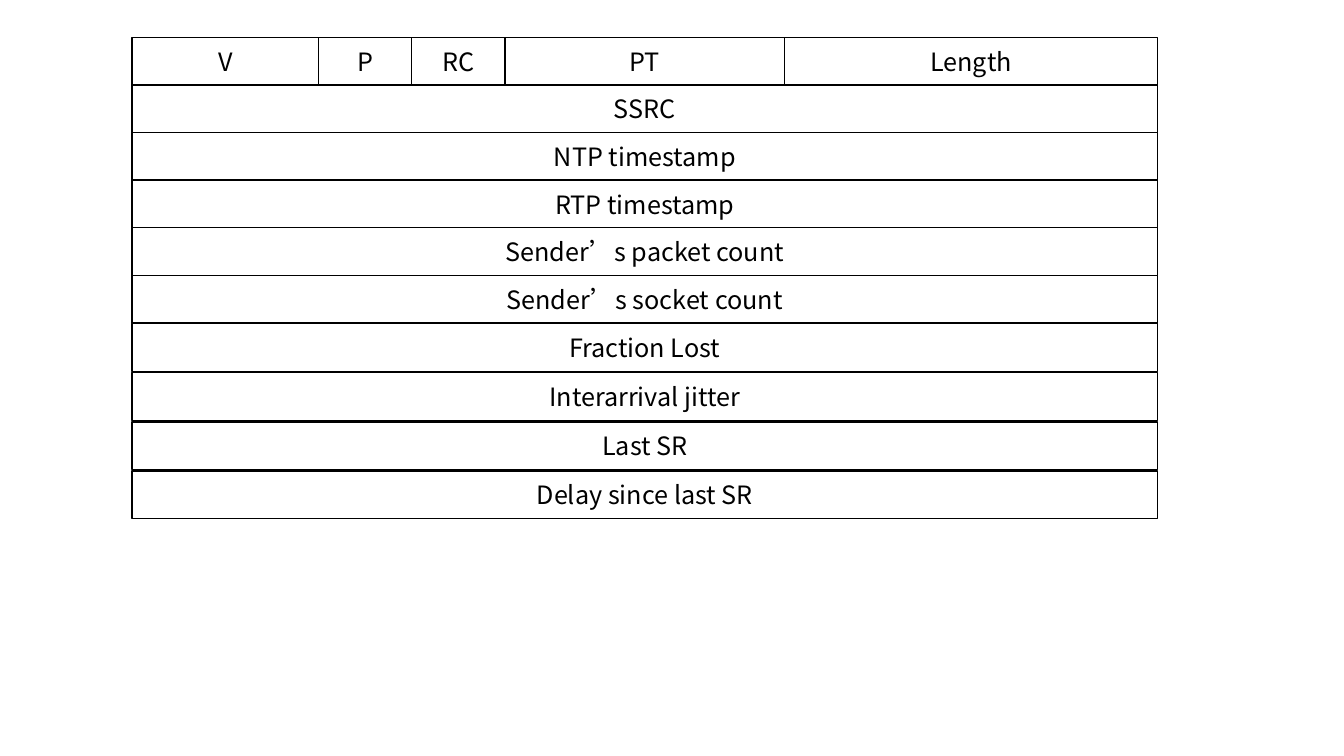
from pptx import Presentation
from pptx.dml.color import RGBColor
from pptx.enum.shapes import MSO_SHAPE
from pptx.enum.text import MSO_ANCHOR, PP_ALIGN
from pptx.util import Cm, Pt

RECTANGLE = MSO_SHAPE.RECTANGLE
MIDDLE = MSO_ANCHOR.MIDDLE
CENTER = PP_ALIGN.CENTER

FONT = "Noto Sans CJK SC"
COLORS = {"paper": "FFFFFF", "ink": "000000"}
BLANK_LAYOUT = 6

# All lengths in centimetres
PACKET_LEFT, PACKET_TOP, PACKET_WIDTH = 3.33, 0.94, 25.84
FIELD_HEIGHT = 1.2
REPORT_TOP = 8.16
REPORT_PITCH = 1.235

# Header fields with their relative widths
HEADER_FIELDS = [("V", 2), ("P", 1), ("RC", 1), ("PT", 3), ("Length", 4)]
SENDER_FIELDS = ["SSRC", "NTP timestamp", "RTP timestamp",
                 "Sender’s packet count", "Sender’s socket count"]
REPORT_FIELDS = ["Fraction Lost", "Interarrival jitter", "Last SR",
                 "Delay since last SR"]


def color(name):
    return RGBColor.from_string(COLORS[name])


def write_text(frame, text, size=18, font=FONT, ink="ink", align=CENTER):
    frame.word_wrap = True
    frame.vertical_anchor = MIDDLE
    paragraph = frame.paragraphs[0]
    paragraph.alignment = align
    run = paragraph.add_run()
    run.text = text
    run.font.size = Pt(size)
    run.font.name = font
    run.font.color.rgb = color(ink)


def add_field(slide, label, left, top, width):
    field = slide.shapes.add_shape(
        RECTANGLE, Cm(left), Cm(top), Cm(width), Cm(FIELD_HEIGHT))
    field.shadow.inherit = False
    field.fill.solid()
    field.fill.fore_color.rgb = color("paper")
    field.line.color.rgb = color("ink")
    field.line.width = Pt(1)
    write_text(field.text_frame, label)


def add_header(slide, left, top, width):
    unit = width / sum(share for _, share in HEADER_FIELDS)
    for label, share in HEADER_FIELDS:
        add_field(slide, label, left, top, share * unit)
        left += share * unit


def add_rows(slide, labels, left, top, width, pitch):
    for index, label in enumerate(labels):
        add_field(slide, label, left, top + index * pitch, width)


def main():
    deck = Presentation()
    deck.slide_width, deck.slide_height = Cm(33.87), Cm(19.05)
    slide = deck.slides.add_slide(deck.slide_layouts[BLANK_LAYOUT])

    # Packet header
    add_header(slide, PACKET_LEFT, PACKET_TOP, PACKET_WIDTH)
    # Sender information
    add_rows(slide, SENDER_FIELDS, PACKET_LEFT, PACKET_TOP + FIELD_HEIGHT,
             PACKET_WIDTH, FIELD_HEIGHT)
    # Reception report
    add_rows(slide, REPORT_FIELDS, PACKET_LEFT, REPORT_TOP,
             PACKET_WIDTH, REPORT_PITCH)

    deck.save("out.pptx")


if __name__ == "__main__":
    main()
